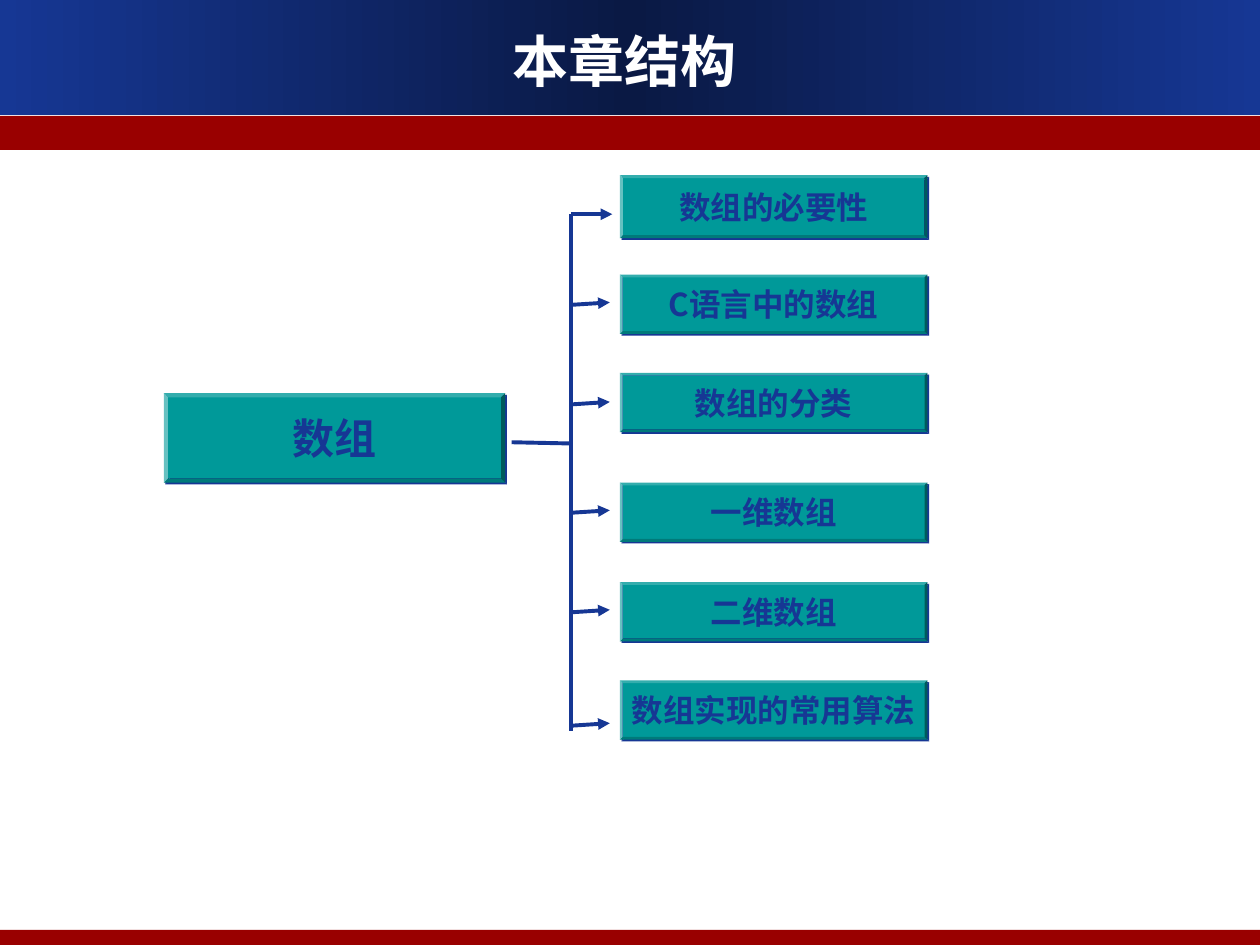
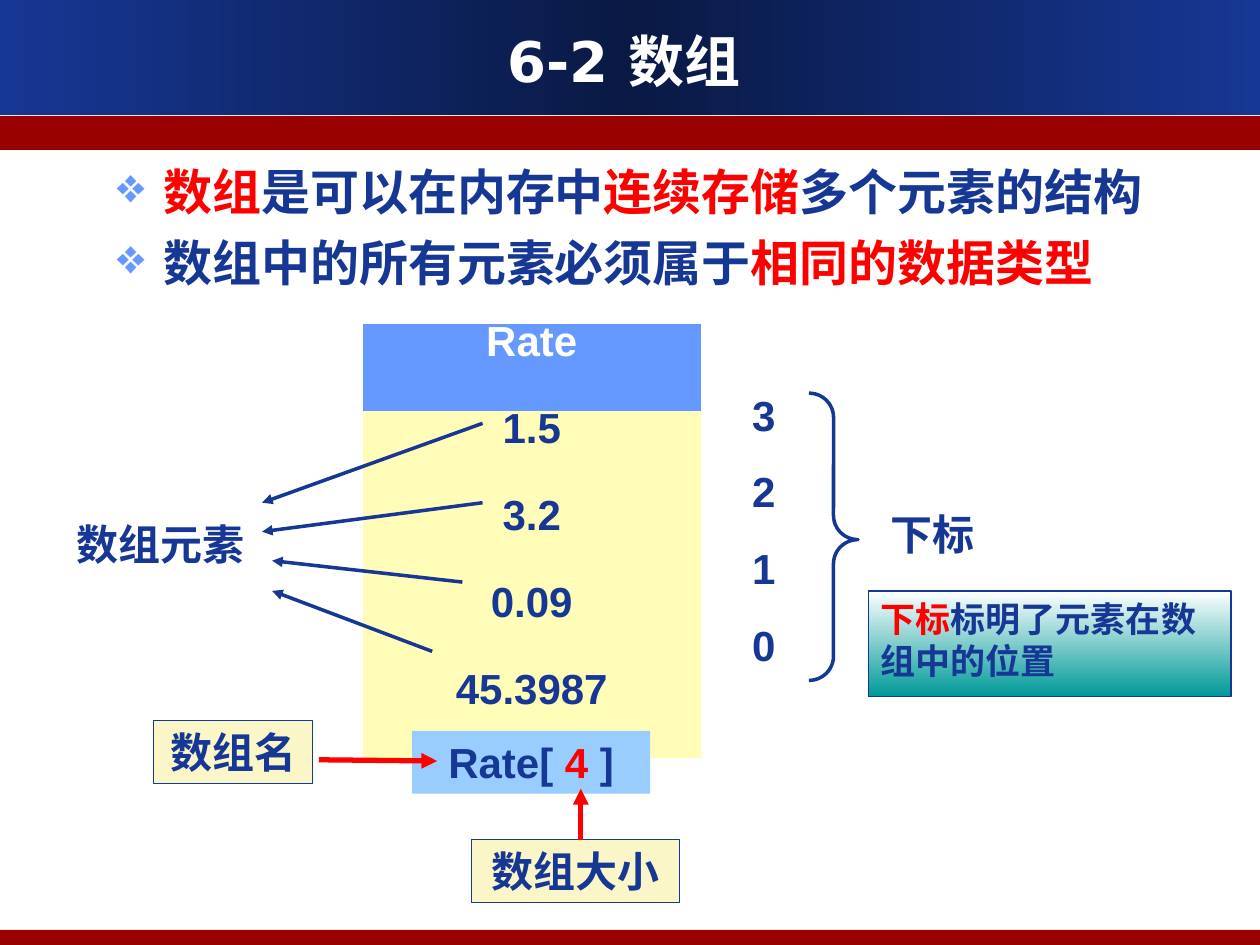
from dataclasses import dataclass
from typing import NamedTuple, Optional

from lxml import etree
from pptx import Presentation
from pptx import util as u
from pptx.dml.color import RGBColor
from pptx.enum import shapes, text
from pptx.oxml.ns import qn

Inches = u.Inches


@dataclass(frozen=True)
class Theme:
    navy: str = "163794"
    midnight: str = "0A1944"
    crimson: str = "990000"
    teal: str = "009999"
    red: str = "FF0000"
    white: str = "FFFFFF"
    blue: str = "6699FF"
    sky: str = "99CCFF"
    yellow: str = "FFFDB7"
    cream: str = "FBF6C7"
    latin: str = "Arial"
    cjk: str = "Noto Sans CJK SC"
    title_font: str = "DejaVu Sans"
    title: int = 32
    bullet: int = 28
    body: int = 24
    note: int = 20
    topic: int = 18


T = Theme()


class Box(NamedTuple):
    left: float
    top: float
    width: float
    height: float


class Run(NamedTuple):
    words: str
    color: str = T.navy


class Arrow(NamedTuple):
    x1: float
    y1: float
    x2: float
    y2: float
    color: str = T.navy
    width: float = 2
    head: bool = True


class Topic(NamedTuple):
    label: str
    top: float
    height: float
    branch: Arrow


class Label(NamedTuple):
    box: Box
    runs: list[Run]
    fill: Optional[str] = None
    outlined: bool = False
    centred: bool = False


def add_xml(parent, tag: str, **attrs):
    return etree.SubElement(parent, qn(tag), attrs)


def inches(box: Box) -> list:
    return [Inches(v) for v in box]


# Text
def add_run(p, run: Run, size: int, font: str = T.latin) -> None:
    r = p.add_run()
    r.text = run.words
    r.font.size = u.Pt(size)
    r.font.bold = True
    r.font.name = font
    r.font.color.rgb = RGBColor.from_string(run.color)
    add_xml(r.font._element, "a:ea", typeface=T.cjk)


def write(tf, paragraphs: list[list[Run]], size: int, font: str = T.latin,
          centred: bool = False, before: float = 0, middle: bool = False) -> None:
    tf.word_wrap = True
    tf.vertical_anchor = text.MSO_ANCHOR.MIDDLE if middle else text.MSO_ANCHOR.TOP
    for i, runs in enumerate(paragraphs):
        p = tf.paragraphs[0] if i == 0 else tf.add_paragraph()
        p.alignment = text.PP_ALIGN.CENTER if centred else text.PP_ALIGN.LEFT
        p.space_before = u.Pt(before)
        for run in runs:
            add_run(p, run, size, font)


def add_text(s, box: Box, paragraphs: list[list[Run]], size: int, **style):
    tf = s.shapes.add_textbox(*inches(box)).text_frame
    write(tf, paragraphs, size, **style)
    return tf


# Shapes
def add_shape(s, kind, box: Box, fill: Optional[str] = None,
              line: Optional[str] = None, width: float = 0.5):
    sp = s.shapes.add_shape(kind, *inches(box))
    sp.shadow.inherit = False
    if fill:
        sp.fill.solid()
        sp.fill.fore_color.rgb = RGBColor.from_string(fill)
    else:
        sp.fill.background()
    if line:
        sp.line.color.rgb = RGBColor.from_string(line)
        sp.line.width = u.Pt(width)
    else:
        sp.line.fill.background()
    return sp


def add_rect(s, box: Box, fill: str, **outline):
    return add_shape(s, shapes.MSO_SHAPE.RECTANGLE, box, fill, **outline)


def set_gradient(sp, colors: list[str], angle: int) -> None:
    sp.fill.gradient()
    sp.fill.gradient_angle = angle
    stops = sp._element.spPr.find(".//" + qn("a:gsLst"))
    for stop in list(stops):
        stops.remove(stop)
    for i, color in enumerate(colors):
        gs = add_xml(stops, "a:gs", pos=str(100000 * i // (len(colors) - 1)))
        add_xml(gs, "a:srgbClr", val=color)


def add_bevel(s, box: Box, label: str, size: int) -> None:
    sp = add_shape(s, shapes.MSO_SHAPE.BEVEL, box, T.teal)
    sp.adjustments[0] = 0.047
    effects = sp._element.spPr.find(qn("a:effectLst"))
    shadow = add_xml(effects, "a:outerShdw", dist=str(u.Pt(1.4)), dir="2700000")
    add_xml(shadow, "a:srgbClr", val=T.navy)
    write(sp.text_frame, [[Run(label)]], size, font=T.cjk, centred=True, middle=True)
    sp.text_frame.word_wrap = False


def add_arrow(s, a: Arrow) -> None:
    c = s.shapes.add_connector(shapes.MSO_CONNECTOR.STRAIGHT, Inches(a.x1),
                               Inches(a.y1), Inches(a.x2), Inches(a.y2))
    c.line.color.rgb = RGBColor.from_string(a.color)
    c.line.width = u.Pt(a.width)
    if a.head:
        add_xml(c.line._get_or_add_ln(), "a:tailEnd", type="triangle")
    add_xml(c._element.spPr, "a:effectLst")


def add_label(s, label: Label) -> None:
    sp = add_shape(s, shapes.MSO_SHAPE.RECTANGLE, label.box, label.fill,
                   T.navy if label.outlined else None)
    write(sp.text_frame, [label.runs], T.body, centred=label.centred)
    sp.text_frame.auto_size = text.MSO_AUTO_SIZE.SHAPE_TO_FIT_TEXT


# Frame shared by the slides
def new_slide(prs, title: str):
    s = prs.slides.add_slide(prs.slide_layouts[6])
    banner = add_rect(s, Box(0, 0, 10, 0.91), T.navy)
    set_gradient(banner, [T.navy, T.midnight, T.navy], 180)
    add_rect(s, Box(0, 0.92, 10, 0.27), T.crimson)
    add_rect(s, Box(0, 7.38, 10, 0.12), T.crimson)
    add_text(s, Box(0.33, 0.16, 9.25, 0.63), [[Run(title, T.white)]], T.title,
             font=T.title_font, centred=True, middle=True)
    return s


# Slide 1: chapter structure
TRUNK_X = 4.53


def branch(y: float, end_x: float = 4.84, rise: float = 0.02) -> Arrow:
    return Arrow(TRUNK_X, y, end_x, y - rise, width=2.25)


TOPICS = [
    Topic("数组的必要性", 1.39, 0.5, branch(1.7, 4.86, 0)),
    Topic("C语言中的数组", 2.18, 0.47, branch(2.42)),
    Topic("数组的分类", 2.96, 0.47, branch(3.21)),
    Topic("一维数组", 3.83, 0.47, branch(4.07)),
    Topic("二维数组", 4.62, 0.47, branch(4.86)),
    Topic("数组实现的常用算法", 5.4, 0.47, branch(5.76)),
]


def build_structure(prs) -> None:
    s = new_slide(prs, "本章结构")
    add_bevel(s, Box(1.3, 3.12, 2.71, 0.71), "数组", T.body)
    add_arrow(s, Arrow(TRUNK_X, 1.7, TRUNK_X, 5.8, width=2.25, head=False))
    add_arrow(s, Arrow(4.06, 3.51, TRUNK_X, 3.52, width=2.25, head=False))
    for topic in TOPICS:
        add_bevel(s, Box(4.92, topic.top, 2.44, topic.height), topic.label, T.topic)
        add_arrow(s, topic.branch)


# Slide 2: the array and its parts
RATES = ["Rate", "1.5", "3.2", "0.09", "45.3987"]
BULLETS = [
    [Run("数组", T.red), Run("是可以在内存中"), Run("连续存储", T.red),
     Run("多个元素的结构")],
    [Run("数组中的所有元素必须属于"), Run("相同的数据类型", T.red)],
]
LABELS = [
    Label(Box(3.27, 5.8, 1.89, 0.5), [Run("Rate[ "), Run("4", T.red), Run(" ]")],
          T.sky, centred=True),
    Label(Box(1.22, 5.72, 1.26, 0.5), [Run("数组名")], T.cream, True, True),
    Label(Box(3.74, 6.66, 1.65, 0.5), [Run("数组大小")], T.cream, True, True),
    Label(Box(0.51, 4.07, 1.65, 0.5), [Run("数组元素")]),
    Label(Box(6.97, 3.99, 1.42, 0.5), [Run("下标")]),
]
ARROWS = [
    Arrow(3.83, 3.36, 2.08, 3.99),
    Arrow(3.83, 3.99, 2.08, 4.22),
    Arrow(3.67, 4.62, 2.16, 4.45),
    Arrow(3.43, 5.17, 2.16, 4.69),
    Arrow(2.53, 6.03, 3.47, 6.04, T.red, 3),
    Arrow(4.61, 6.67, 4.61, 6.26, T.red, 3),
]
NO_TABLE_STYLE = "{2D5ABB26-0587-4C30-8999-92F81FD0307C}"


def add_rate_table(s) -> None:
    box = Box(2.88, 2.57, 2.68, 0.69 * len(RATES))
    table = s.shapes.add_table(len(RATES), 1, *inches(box)).table
    table.first_row = table.horz_banding = False
    table._tbl.tblPr.find(qn("a:tableStyleId")).text = NO_TABLE_STYLE
    for i, value in enumerate(RATES):
        cell = table.cell(i, 0)
        cell.fill.solid()
        cell.fill.fore_color.rgb = RGBColor.from_string(T.yellow if i else T.blue)
        write(cell.text_frame, [[Run(value, T.navy if i else T.white)]], T.body,
              centred=True, before=6)
        cell.text_frame.paragraphs[0].line_spacing = 0.71


def add_bullets(s) -> None:
    tf = add_text(s, Box(0.83, 1.23, 8.66, 1.13), BULLETS, T.bullet, before=7)
    for p in tf.paragraphs:
        pPr = p._p.get_or_add_pPr()
        pPr.set("marL", str(Inches(0.37)))
        pPr.set("indent", str(-Inches(0.37)))
        add_xml(add_xml(pPr, "a:buClr"), "a:srgbClr", val=T.blue)
        add_xml(pPr, "a:buChar", char="❖")


def build_array(prs) -> None:
    s = new_slide(prs, "6-2 数组")
    add_rate_table(s)
    add_text(s, Box(5.87, 3.04, 0.71, 2.33), [[Run(n)] for n in "3210"],
             T.body, before=15)
    brace = add_shape(s, shapes.MSO_SHAPE.RIGHT_BRACE, Box(6.42, 3.12, 0.39, 2.28),
                      line=T.navy, width=2)
    brace.adjustments[0] = 0.49
    brace.adjustments[1] = 0.51
    note = add_rect(s, Box(6.89, 4.69, 2.88, 0.84), T.white, line=T.navy, width=0.75)
    set_gradient(note, [T.white, T.teal], 270)
    write(note.text_frame, [[Run("下标", T.red), Run("标明了元素在数组中的位置")]], T.note)
    for label in LABELS:
        add_label(s, label)
    for arrow in ARROWS:
        add_arrow(s, arrow)
    add_bullets(s)


def main() -> None:
    prs = Presentation()
    prs.slide_width, prs.slide_height = Inches(10), Inches(7.5)
    build_structure(prs)
    build_array(prs)
    prs.save("out.pptx")


if __name__ == "__main__":
    main()
